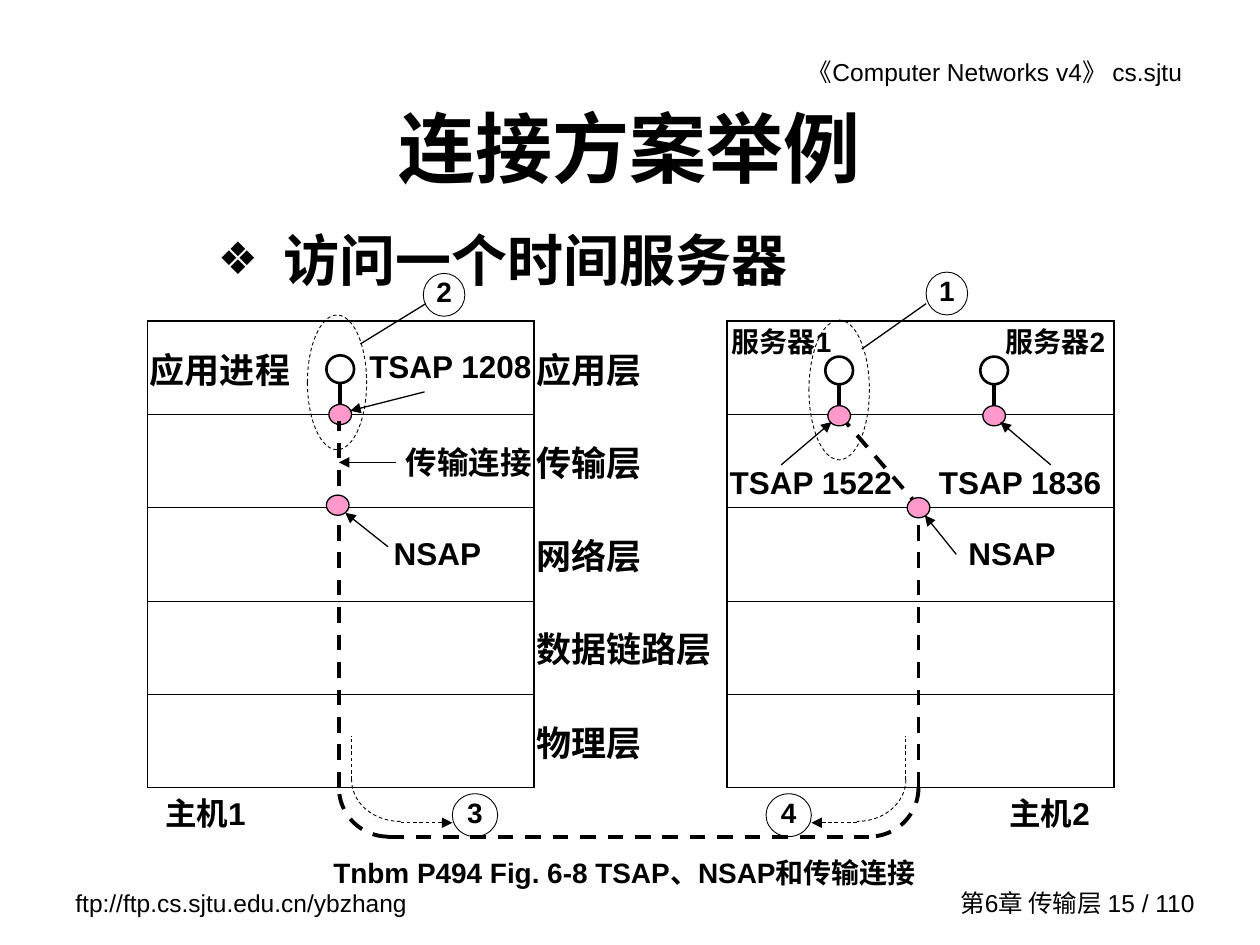
from lxml.etree import SubElement
from pptx import Presentation
from pptx.dml.color import RGBColor
from pptx.enum.dml import MSO_LINE
from pptx.enum.shapes import MSO_CONNECTOR, MSO_SHAPE
from pptx.enum.text import MSO_ANCHOR, PP_ALIGN
from pptx.oxml.ns import qn
from pptx.util import Inches, Pt

BLACK, PINK = "000000", "FF99CC"
LEFT, MID, RIGHT = PP_ALIGN.LEFT, PP_ALIGN.CENTER, PP_ALIGN.RIGHT
COL, ROW = 1.534, 0.74


def color(code):
    return RGBColor.from_string(code)


def write(frame, text, size, bold=True, align=LEFT, pad=(0.1, 0.05, 0.1, 0.05)):
    frame.text = text
    frame.margin_left, frame.margin_top, frame.margin_right, frame.margin_bottom = map(Inches, pad)
    para = frame.paragraphs[0]
    para.alignment = align
    para.space_before = Pt(0)
    for run in para.runs:
        run.font.name = "Arial"
        run.font.size = Pt(size)
        run.font.bold = bold
        run.font.color.rgb = color(BLACK)
    return para


def label(slide, box, text, size, **style):
    frame = slide.shapes.add_textbox(*map(Inches, box)).text_frame
    frame.word_wrap = True
    write(frame, text, size, **style)
    return frame


def pen(item, width, dash):
    item.line.color.rgb = color(BLACK)
    item.line.width = Pt(width)
    if dash:
        item.line.dash_style = MSO_LINE.DASH


def line(slide, start, end, width=0.75, dash=False, arrow=False):
    link = slide.shapes.add_connector(MSO_CONNECTOR.STRAIGHT, *map(Inches, (*start, *end)))
    pen(link, width, dash)
    if arrow:
        SubElement(link.line._get_or_add_ln(), qn("a:tailEnd"), type="triangle")
    SubElement(link._element.spPr, qn("a:effectLst"))


def oval(slide, box, width=0.75, fill=None, dash=False, kind=MSO_SHAPE.OVAL):
    item = slide.shapes.add_shape(kind, *map(Inches, box))
    item.shadow.inherit = False
    if fill:
        item.fill.solid()
        item.fill.fore_color.rgb = color(fill)
    else:
        item.fill.background()
    pen(item, width, dash)
    return item


def arc(slide, x, y, rx, ry, first, width):
    """Quarter turn around (x, y), starting at an angle in degrees."""
    item = oval(slide, (x - rx, y - ry, 2 * rx, 2 * ry), width, dash=True, kind=MSO_SHAPE.ARC)
    item.adjustments[0] = first * 0.6
    item.adjustments[1] = (first + 90) * 0.6


def badge(slide, x, y, text, wide=0.33):
    frame = oval(slide, (x, y, wide, 0.34), 0.5).text_frame
    frame.vertical_anchor = MSO_ANCHOR.MIDDLE
    write(frame, text, 16, align=MID, pad=(0, 0, 0, 0)).line_spacing = 0.8


def dot(slide, x, y):
    oval(slide, (x, y, 0.18, 0.16), fill=PINK)


def port(slide, x, y):
    """Process ring and stem, ending in an access point."""
    oval(slide, (x - 0.11, y, 0.22, 0.22), 1.5)
    line(slide, (x, y + 0.21), (x, y + 0.5), 2)
    dot(slide, x - 0.09, y + 0.39)


def frame_text(slide):
    # Running header and footer
    label(slide, (5.28, 0.4, 4.2, 0.34), "《Computer Networks v4》 cs.sjtu", 14, bold=False, align=RIGHT)
    label(slide, (0.5, 7, 2.92, 0.34), "ftp://ftp.cs.sjtu.edu.cn/ybzhang", 14, bold=False)
    label(slide, (7.32, 7, 2.26, 0.33), "第6章 传输层 15 / 110", 14, bold=False, align=RIGHT)


def place(item, box):
    item.left, item.top, item.width, item.height = map(Inches, box)


def heading(slide):
    # Title and bullet
    title, body = slide.shapes.title, slide.placeholders[1]
    place(title, (0.75, 0.67, 8.5, 0.99))
    title.text_frame.vertical_anchor = MSO_ANCHOR.MIDDLE
    write(title.text_frame, "连接方案举例", 44, align=MID)
    place(body, (1.63, 1.74, 7.62, 0.67))
    props = write(body.text_frame, "访问一个时间服务器", 32)._p.get_or_add_pPr()
    props.set("marL", str(Inches(0.52)))
    props.set("indent", str(Inches(-0.52)))
    tint = SubElement(props, qn("a:buClr"))
    SubElement(tint, qn("a:srgbClr"), val=BLACK)
    SubElement(props, qn("a:buSzPct"), val="80000")
    SubElement(props, qn("a:buFont"), typeface="Arial")
    SubElement(props, qn("a:buChar"), char="❖")


def border(cell, row, col):
    top = 1.08 if row == 0 else 0.45
    base = 1.08 if row == 4 else 0.45
    host = col != 2
    widths = {"L": 1.08 if col in (0, 2, 3) else 0, "R": 1.08 if col in (1, 2, 4) else 0,
              "T": top if host else 0, "B": base if host else 0}
    props = cell._tc.get_or_add_tcPr()
    for spot, (side, width) in enumerate(widths.items()):
        edge = SubElement(props, qn("a:ln" + side), w=str(Pt(width)))
        props.insert(spot, edge)
        if width:
            paint = SubElement(edge, qn("a:solidFill"))
            SubElement(paint, qn("a:srgbClr"), val=BLACK)
        else:
            SubElement(edge, qn("a:noFill"))


def layers(slide, x, y):
    # Layer stacks of both hosts, with layer names between
    table = slide.shapes.add_table(5, 5, *map(Inches, (x, y, 5 * COL, 5 * ROW))).table
    table.first_row = table.horz_banding = False
    names = ["应用层", "传输层", "网络层", "数据链路层", "物理层"]
    texts = {(row, 2): (name, 20, LEFT, 0.02) for row, name in enumerate(names)}
    texts.update({
        (0, 0): ("应用进程", 20, LEFT, 0.02), (0, 1): ("TSAP 1208", 18, RIGHT, 0.02),
        (1, 1): ("传输连接", 18, RIGHT, 0.02), (2, 1): ("NSAP", 18, MID, 0.02),
        (1, 3): ("TSAP 1522", 18, LEFT, 0.1), (1, 4): ("TSAP 1836", 18, RIGHT, 0.1),
        (2, 4): ("NSAP", 18, MID, 0.1)})
    for row in range(5):
        table.rows[row].height = Inches(ROW)
        for col in range(5):
            cell = table.cell(row, col)
            cell.fill.background()
            border(cell, row, col)
            if (row, col) in texts:
                text, size, align, gap = texts[row, col]
                low = row == 1 and col > 2
                cell.vertical_anchor = MSO_ANCHOR.BOTTOM if low else MSO_ANCHOR.MIDDLE
                write(cell.text_frame, text, size, align=align)
                cell.margin_left, cell.margin_right = Inches(0.02), Inches(gap)


def client(slide, x, y):
    # Host 1: client process, callouts and path down
    for start, end in (((1.91, 1.79), (1.57, 1.52)), ((2.2, 0.56), (1.61, 0.71)),
                       ((1.97, 1.12), (1.52, 1.12))):
        line(slide, (x + start[0], y + start[1]), (x + end[0], y + end[1]), arrow=True)
    port(slide, x + 1.53, y + 0.27)
    oval(slide, (x + 1.27, y - 0.05, 0.47, 1.07), 0.5, dash=True)
    line(slide, (x + 1.69, y + 0.18), (x + 2.21, y - 0.14))
    badge(slide, x + 2.19, y - 0.38, "2")
    line(slide, (x + 1.52, y + 3.7), (x + 1.52, y + 0.79), 2.25, dash=True)
    dot(slide, x + 1.42, y + 1.38)
    label(slide, (x - 0.04, y + 3.7, 1, 0.4), "主机1", 18, align=MID)


def server(slide, x, y):
    # Host 2: two servers, callouts and path down
    line(slide, (x + 1.52, y + 3.7), (x + 1.52, y + 1.48), 2.25, dash=True)
    line(slide, (x + 0.89, y + 0.74), (x + 1.53, y + 1.48), 2.25, dash=True)
    dot(slide, x + 1.43, y + 1.4)
    for stem, left, name, align in ((0.89, 0.04, "服务器1", LEFT), (2.12, 2.06, "服务器2", RIGHT)):
        port(slide, x + stem, y + 0.28)
        label(slide, (x + left, y + 0.03, 0.94, 0.27), name, 16, align=align, pad=(0, 0, 0, 0))
    oval(slide, (x + 0.65, y - 0.01, 0.48, 1.11), 0.5, dash=True)
    line(slide, (x + 1.07, y + 0.22), (x + 1.58, y - 0.14))
    badge(slide, x + 1.58, y - 0.39, "1")
    for start, end in (((0.43, 1.14), (0.83, 0.8)), ((2.57, 1.14), (2.17, 0.8)),
                       ((1.82, 1.85), (1.57, 1.54))):
        line(slide, (x + start[0], y + start[1]), (x + end[0], y + end[1]), arrow=True)
    label(slide, (x + 2.06, y + 3.7, 1, 0.4), "主机2", 18, align=MID)


def turn(slide, x, y, side, reach, text):
    # Bend under a host; side is 1 towards the right, -1 towards the left
    first = 90 if side == 1 else 0
    arc(slide, x + 0.39 * side, y, 0.39, 0.39, first, 2.25)
    line(slide, (x + 0.1 * side, y - 0.06), (x + 0.1 * side, y - 0.41), 0.5, dash=True)
    arc(slide, x + 0.49 * side, y - 0.06, 0.39, 0.33, first, 0.5)
    line(slide, (x + 0.49 * side, y + 0.28), (x + reach * side, y + 0.28), 0.5, dash=True, arrow=True)
    badge(slide, x + (reach + 0.18) * side - 0.18, y + 0.05, text, 0.36)


def main():
    deck = Presentation()
    deck.slide_width, deck.slide_height = Inches(10), Inches(7.5)
    slide = deck.slides.add_slide(deck.slide_layouts[1])
    frame_text(slide)
    heading(slide)
    label(slide, (1.83, 6.74, 6.25, 0.32), "Tnbm P494 Fig. 6-8 TSAP、NSAP和传输连接", 16, align=MID)
    layers(slide, 1.17, 2.55)
    client(slide, 1.17, 2.55)
    server(slide, 5.77, 2.55)
    # Link between the hosts
    line(slide, (3.08, 6.64), (6.9, 6.64), 2.25, dash=True)
    turn(slide, 2.69, 6.25, 1, 0.9, "3")
    turn(slide, 7.29, 6.25, -1, 0.85, "4")
    deck.save("out.pptx")


if __name__ == "__main__":
    main()
